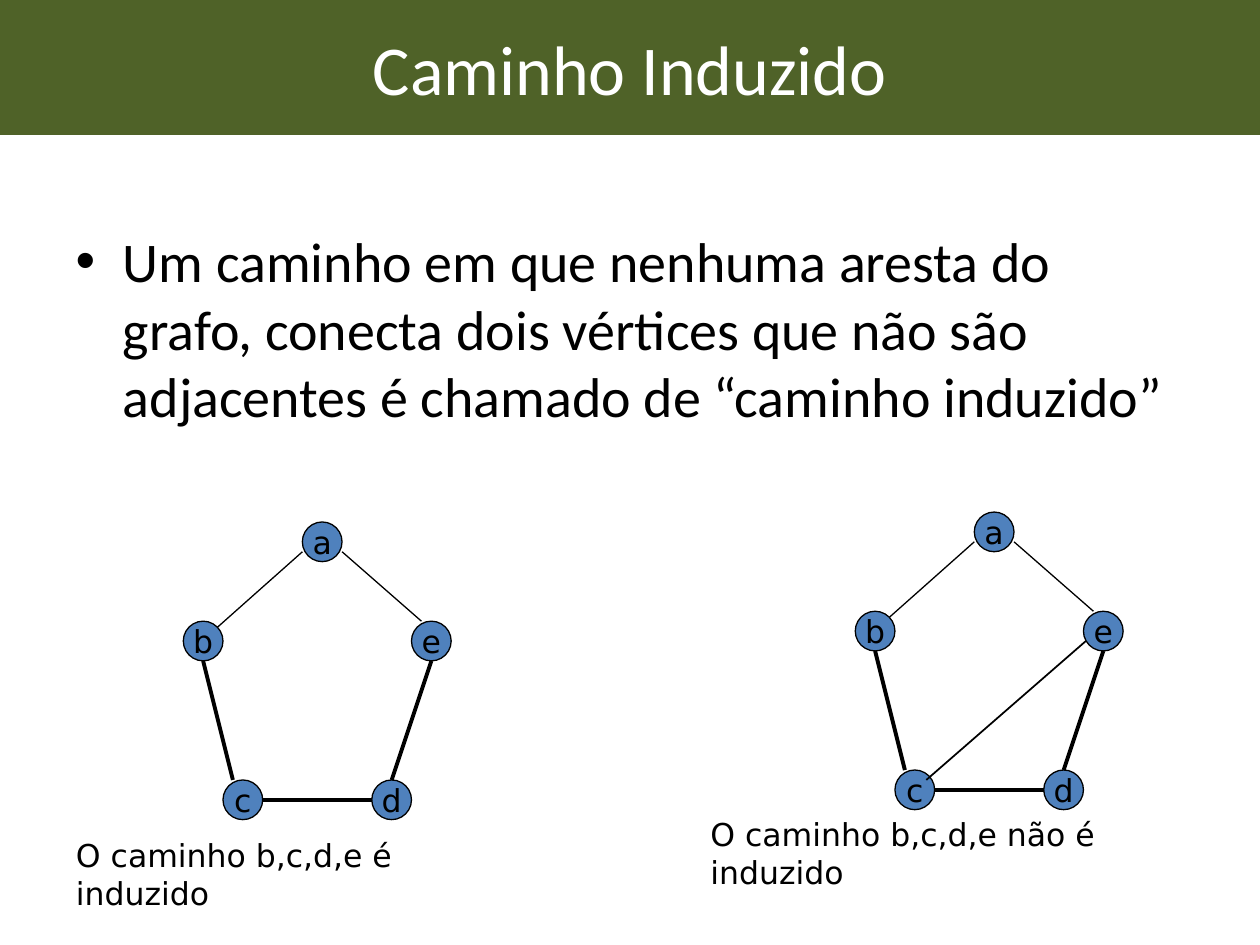
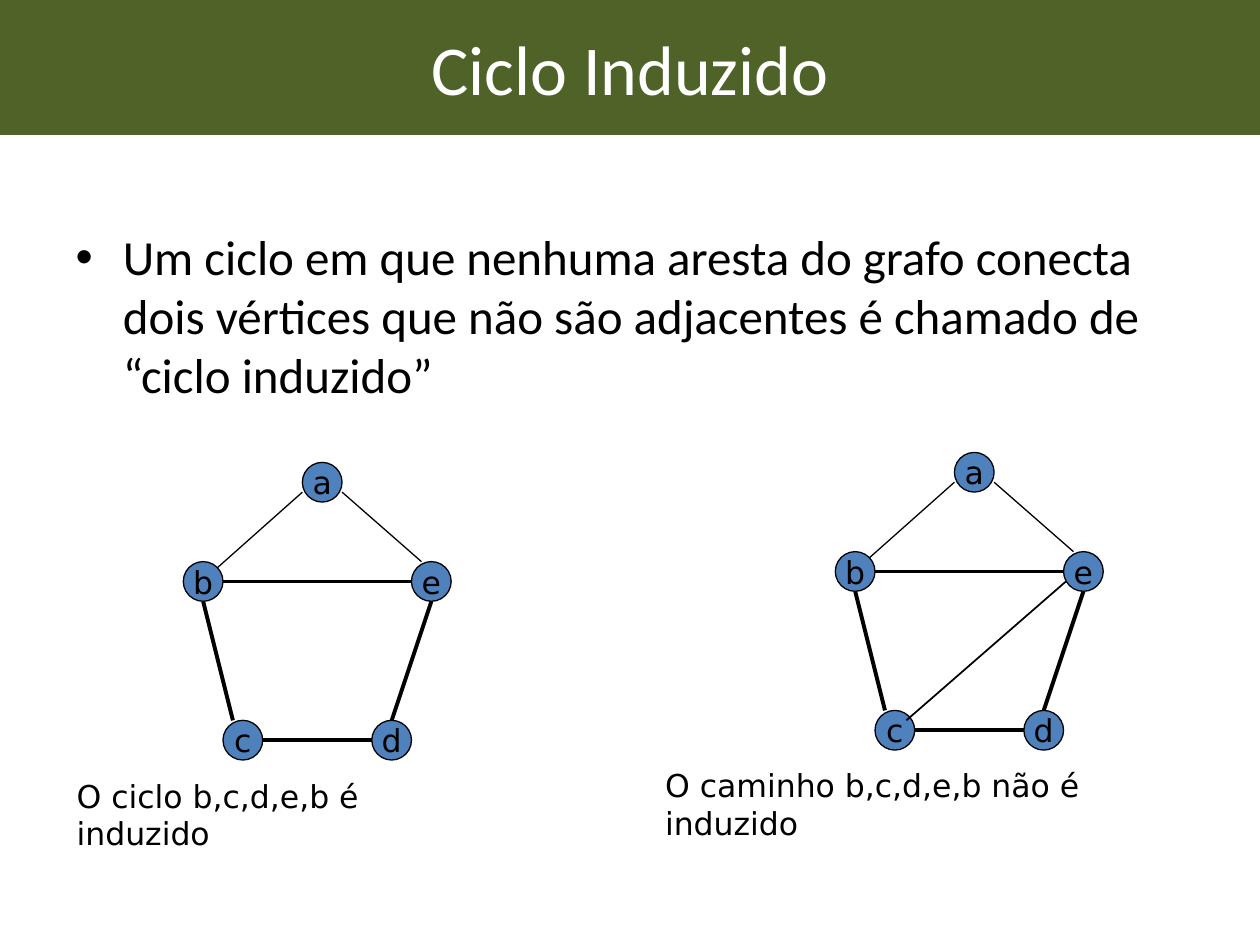
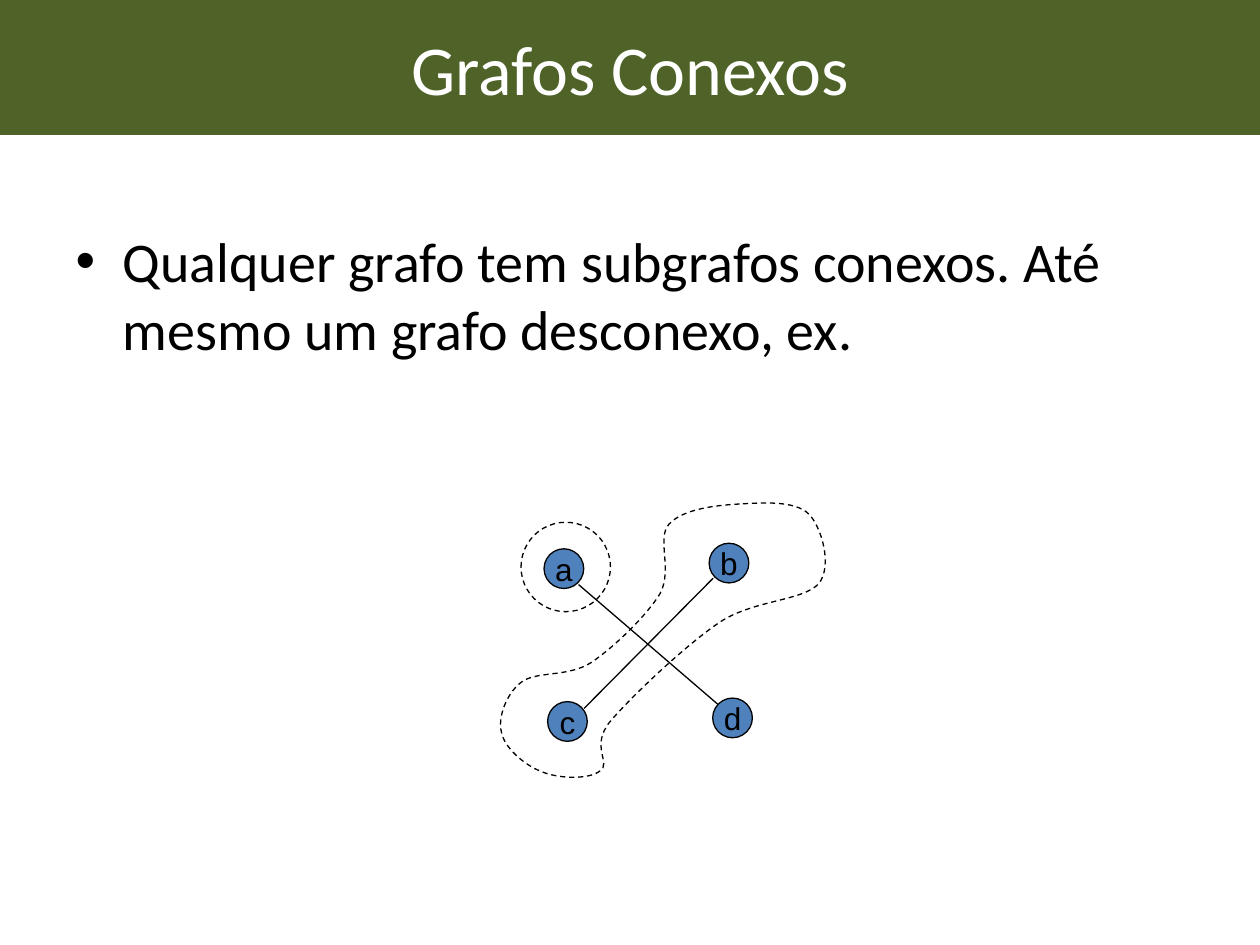
from dataclasses import dataclass

from lxml import etree
from pptx import Presentation, util as u
from pptx.dml.color import RGBColor
from pptx.enum import dml, shapes, text
from pptx.oxml import ns

# Shared look
GREEN = RGBColor(0x4F, 0x62, 0x28)
BLUE = RGBColor(0x4F, 0x81, 0xBD)
BLACK = RGBColor(0, 0, 0)
WHITE = RGBColor(255, 255, 255)
HEAD_FONT, NOTE_FONT = "Calibri", "DejaVu Sans"
THIN, MID, BOLD = 0.75, 1, 2.25

# Grid of 100 columns by 75 rows; a node is SIZE wide and tall
WIDTH, HEIGHT = u.Inches(10), u.Inches(7.5)
COL, ROW = WIDTH // 100, HEIGHT // 75
SIZE = 3.15

Pair = tuple[float, float]


@dataclass(frozen=True)
class Edge:
    """Line between two nodes; each end is a share of its node's box."""
    start: str
    tail: Pair
    end: str
    head: Pair
    weight: float = THIN


@dataclass(frozen=True)
class Graph:
    """Nodes at multiples of SIZE; the last one lies between both edge lists."""
    left: float
    top: float
    nodes: dict[str, Pair]
    under: list[Edge]
    over: list[Edge]
    font: str = NOTE_FONT

    def spot(self, name: str, share: Pair = (0, 0)) -> tuple[int, int]:
        x, y = self.nodes[name]
        return grid(self.left + (x + share[0]) * SIZE,
                    self.top + (y + share[1]) * SIZE)


@dataclass(frozen=True)
class Note:
    left: float
    top: float
    wide: float
    words: str


@dataclass(frozen=True)
class Page:
    title: str
    body: str
    size: int
    graphs: list[Graph]
    notes: list[Note]


# Pentagon and its edges
FIVE = {"a": (3, 0), "e": (5.75, 2.5), "c": (1, 6.5),
        "d": (4.75, 6.5), "b": (0, 2.5)}
RING = [
    Edge("a", (0, 0.75), "b", (0.75, 0.25)),
    Edge("b", (0.5, 1), "c", (0.25, 0), BOLD),
    Edge("c", (1, 0.5), "d", (0, 0.5), BOLD),
    Edge("d", (0.5, 0), "e", (0.5, 1), BOLD),
    Edge("a", (1, 0.75), "e", (0.25, 0)),
]
CHORD = Edge("c", (0.79, 0.25), "e", (0.06, 0.75), MID)
CROSS = Edge("b", (1, 0.5), "e", (0, 0.5), BOLD)

# Graph with two separate parts
FOUR = {"a": (0, 0.14), "b": (4.16, 0), "c": (0.09, 3.99), "d": (4.25, 3.9)}
PARTS = [
    Edge("a", (0.87, 0.9), "d", (0.12, 0.15)),
    Edge("b", (0.1, 0.88), "c", (0.92, 0.17)),
]

# Outline around b and c: start, then two controls and an end per curve
START = (58.7, 40)
CURVES = [
    ((56.8, 40.1), (54.2, 40.4), (53.1, 41.6)),
    ((52.1, 42.7), (53.4, 45.2), (52.4, 47.1)),
    ((51.3, 48.9), (48.7, 51.4), (46.9, 52.6)),
    ((45, 53.8), (42.5, 53.2), (41.3, 54.2)),
    ((40.2, 55.1), (39.5, 56.9), (39.8, 58.1)),
    ((40, 59.3), (41.6, 60.7), (42.9, 61.2)),
    ((44.2, 61.8), (46.7, 61.9), (47.6, 61.2)),
    ((48.6, 60.6), (46.8, 59.3), (48.4, 57.3)),
    ((50, 55.4), (54.3, 51.3), (57.1, 49.4)),
    ((59.8, 47.6), (63.8, 47.7), (65, 46.3)),
    ((66.1, 44.9), (65.2, 41.8), (64.2, 40.8)),
    ((63.1, 39.7), (60.5, 39.9), START),
]

PAGES = [
    Page("Caminho Induzido",
         "Um caminho em que nenhuma aresta do grafo, conecta dois vértices "
         "que não são adjacentes é chamado de “caminho induzido”", 32,
         [Graph(14.55, 41.43, FIVE, RING, []),
          Graph(67.88, 40.64, FIVE, RING, [CHORD])],
         [Note(5.05, 65.85, 36.6, "O caminho b,c,d,e é induzido"),
          Note(55.4, 64.2, 41.7, "O caminho b,c,d,e não é induzido")]),
    Page("Ciclo Induzido",
         "Um ciclo em que nenhuma aresta do grafo conecta dois vértices "
         "que não são adjacentes é chamado de “ciclo induzido”", 28,
         [Graph(14.55, 36.7, FIVE, RING, [CROSS]),
          Graph(66.3, 35.91, FIVE, RING, [CROSS, CHORD])],
         [Note(5.1, 61.15, 33.8, "O ciclo b,c,d,e,b é induzido"),
          Note(51.8, 60.3, 43.9, "O caminho b,c,d,e,b não é induzido")]),
    Page("Grafos Conexos",
         "Qualquer grafo tem subgrafos conexos. Até mesmo um grafo "
         "desconexo, ex.", 32,
         [Graph(43.18, 43.12, FOUR, [], PARTS, "Arial")], []),
]


def grid(left: float, top: float) -> tuple[int, int]:
    return round(left * COL), round(top * ROW)


def place(shape, left: float, top: float, wide: float, tall: float) -> None:
    shape.left, shape.top = grid(left, top)
    shape.width, shape.height = grid(wide, tall)


def write(frame, words: str, font: str, size: float, color: RGBColor) -> None:
    frame.text = words
    para = frame.paragraphs[0]
    para.space_before = u.Pt(0)
    for run in para.runs:
        run.font.name, run.font.size = font, u.Pt(size)
        run.font.color.rgb = color


def ink(line, weight: float) -> None:
    line.color.rgb = BLACK
    line.width = u.Pt(weight)


def dash(shape) -> None:
    shape.shadow.inherit = False
    shape.fill.background()
    ink(shape.line, THIN)
    shape.line.dash_style = dml.MSO_LINE.DASH


def draw_heads(slide, page: Page) -> None:
    title, body = slide.shapes.title, slide.placeholders[1]
    place(title, 0, 0, 100, 10.7)
    title.fill.solid()
    title.fill.fore_color.rgb = GREEN
    write(title.text_frame, page.title, HEAD_FONT, 40, WHITE)
    title.text_frame.vertical_anchor = text.MSO_ANCHOR.MIDDLE
    place(body, 5, 17.5, 90, 49.5)
    write(body.text_frame, page.body, HEAD_FONT, page.size, BLACK)
    for shape in (title, body):
        shape.text_frame.auto_size = text.MSO_AUTO_SIZE.NONE


def draw_node(slide, graph: Graph, name: str) -> None:
    node = slide.shapes.add_shape(shapes.MSO_SHAPE.OVAL, *graph.spot(name),
                                  *grid(SIZE, SIZE))
    node.shadow.inherit = False
    node.fill.solid()
    node.fill.fore_color.rgb = BLUE
    ink(node.line, THIN)
    frame = node.text_frame
    frame.word_wrap = False
    frame.vertical_anchor = text.MSO_ANCHOR.MIDDLE
    write(frame, name, graph.font, 18, BLACK)
    frame.paragraphs[0].alignment = text.PP_ALIGN.CENTER


def draw_edge(slide, graph: Graph, edge: Edge) -> None:
    line = slide.shapes.add_connector(
        shapes.MSO_CONNECTOR.STRAIGHT, *graph.spot(edge.start, edge.tail),
        *graph.spot(edge.end, edge.head))
    ink(line.line, edge.weight)
    etree.SubElement(line._element.spPr, ns.qn("a:effectLst"))


def draw_graph(slide, graph: Graph) -> None:
    *first, last = graph.nodes
    for name in first:
        draw_node(slide, graph, name)
    for edge in graph.under:
        draw_edge(slide, graph, edge)
    draw_node(slide, graph, last)
    for edge in graph.over:
        draw_edge(slide, graph, edge)


def draw_note(slide, note: Note) -> None:
    box = slide.shapes.add_textbox(*grid(note.left, note.top),
                                   *grid(note.wide, 4))
    box.text_frame.word_wrap = True
    write(box.text_frame, note.words, NOTE_FONT, 18, BLACK)


def curve(shape) -> None:
    """Turn each three line segments into one cubic curve."""
    lines = list(shape._element.iter(ns.qn("a:lnTo")))
    for i in range(0, len(lines), 3):
        bend = etree.Element(ns.qn("a:cubicBezTo"))
        lines[i].addprevious(bend)
        for line in lines[i:i + 3]:
            bend.append(line[0])
            line.getparent().remove(line)


def draw_zones(slide) -> None:
    pen = slide.shapes.build_freeform(*grid(*START))
    pen.add_line_segments([grid(*spot) for ends in CURVES for spot in ends])
    zone = pen.convert_to_shape()
    curve(zone)
    dash(zone)
    dash(slide.shapes.add_shape(shapes.MSO_SHAPE.OVAL, *grid(41.35, 41.45),
                                *grid(7.1, 7.1)))


def main() -> None:
    deck = Presentation()
    deck.slide_width, deck.slide_height = WIDTH, HEIGHT
    for page in PAGES:
        slide = deck.slides.add_slide(deck.slide_layouts[1])
        draw_heads(slide, page)
        for graph in page.graphs:
            draw_graph(slide, graph)
        for note in page.notes:
            draw_note(slide, note)
    draw_zones(slide)
    deck.save("out.pptx")


if __name__ == "__main__":
    main()
